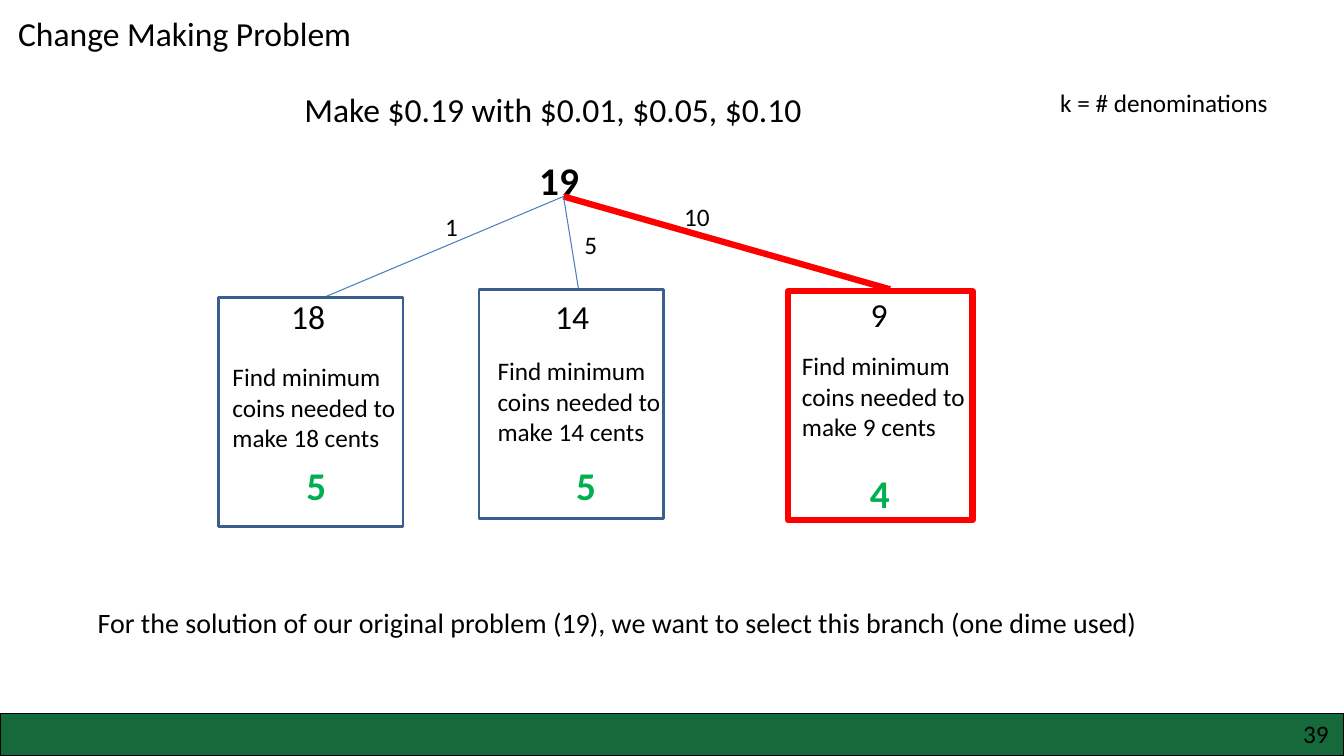
import pptx
import pptx.util
import pptx.dml.color
import pptx.enum.shapes
import pptx.enum.text
import pptx.oxml.ns
import lxml.etree

Cm, Pt = pptx.util.Cm, pptx.util.Pt
RGB = pptx.dml.color.RGBColor
RECT = pptx.enum.shapes.MSO_SHAPE.RECTANGLE
BLACK = RGB(0x00, 0x00, 0x00)
RED = RGB(0xFF, 0x00, 0x00)
BLUE = RGB(0x4B, 0x7E, 0xBC)
NAVY = RGB(0x3A, 0x5F, 0x8C)
LIME = RGB(0x00, 0xB0, 0x50)
GREEN = RGB(0x15, 0x69, 0x3B)

deck = pptx.Presentation()
deck.slide_width, deck.slide_height = Cm(33.87), Cm(19.05)
slide = deck.slides.add_slide(deck.slide_layouts[5])
shapes = slide.shapes


def style(box, text, size, color=BLACK, bold=False, wrap=False):
    frame = box.text_frame
    frame.text = text
    frame.word_wrap = wrap
    frame.auto_size = pptx.enum.text.MSO_AUTO_SIZE.SHAPE_TO_FIT_TEXT
    frame.vertical_anchor = pptx.enum.text.MSO_ANCHOR.TOP
    line = frame.paragraphs[0]
    line.alignment = pptx.enum.text.PP_ALIGN.LEFT
    line.font.name, line.font.size = "Calibri", Pt(size)
    line.font.bold, line.font.color.rgb = bold, color


def write(text, left, top, width, height, size, **look):
    box = shapes.add_textbox(Cm(left), Cm(top), Cm(width), Cm(height))
    style(box, text, size, **look)


# Title and problem statement
title = shapes.title
title.left, title.top, title.width, title.height = Cm(0.2), Cm(0.2), Cm(9.93), Cm(1.27)
style(title, "Change Making Problem", 24)
write("Make $0.19 with $0.01, $0.05, $0.10", 7.42, 2.11, 14.35, 1.27, 24)
write("k = # denominations", 26.47, 2.08, 6.27, 1.02, 18)

# Root of the tree
write("19", 13.34, 3.81, 1.63, 1.45, 28, bold=True)

# Branches: coin, label place and width, line end, colour, weight
branches = [
    ("1", 10.97, 5.21, 0.86, 8.1, 7.52, BLUE, 0.75),
    ("10", 16.99, 4.95, 1.22, 22.43, 7.29, RED, 4.5),
    ("5", 14.48, 5.66, 0.86, 14.58, 7.29, BLUE, 0.75),
]
for coin, left, top, width, endx, endy, color, weight in branches:
    branch = shapes.add_connector(
        pptx.enum.shapes.MSO_CONNECTOR.STRAIGHT, Cm(14.2), Cm(4.95), Cm(endx), Cm(endy))
    branch.line.color.rgb, branch.line.width = color, Pt(weight)
    lxml.etree.SubElement(branch._element.spPr, pptx.oxml.ns.qn("a:effectLst"))
    write(coin, left, top, width, 1.02, 18)

# Subproblems: cents and place, frame, task place, answer and place
cases = [
    ("18", 7.09, 7.34, 1.47, 5.51, 7.49, NAVY, 2, 5.61, 8.99, "5", 7.47, 11.51),
    ("14", 13.74, 7.32, 1.47, 12.07, 7.29, NAVY, 2, 12.29, 8.84, "5", 14.27, 11.51),
    ("9", 21.69, 7.29, 0.99, 19.86, 7.34, RED, 4.5, 19.96, 8.71, "4", 21.67, 11.71),
]
for (cents, left, top, width, boxx, boxy, color, weight,
     taskx, tasky, best, bestx, besty) in cases:
    frame = shapes.add_shape(RECT, Cm(boxx), Cm(boxy), Cm(4.65), Cm(5.77))
    frame.shadow.inherit = False
    frame.fill.background()
    frame.line.color.rgb, frame.line.width = color, Pt(weight)
    write(cents, left, top, width, 1.27, 24)
    write(f"Find minimum coins needed to make {cents} cents",
          taskx, tasky, 4.98, 3.33, 18, wrap=True)
    write(best, bestx, besty, 1.07, 1.45, 28, color=LIME, bold=True)

# Conclusion
write("For the solution of our original problem (19), "
      "we want to select this branch (one dime used)", 2.21, 15.14, 29.03, 1.12, 20)

# Footer bar and page number
bar = shapes.add_shape(RECT, 0, Cm(17.98), Cm(33.87), Cm(1.07))
bar.shadow.inherit = False
bar.fill.solid()
bar.fill.fore_color.rgb = GREEN
bar.line.color.rgb, bar.line.width = BLACK, Pt(1)
write("39", 32.59, 17.98, 1.37, 0.76, 18)

deck.save("out.pptx")
